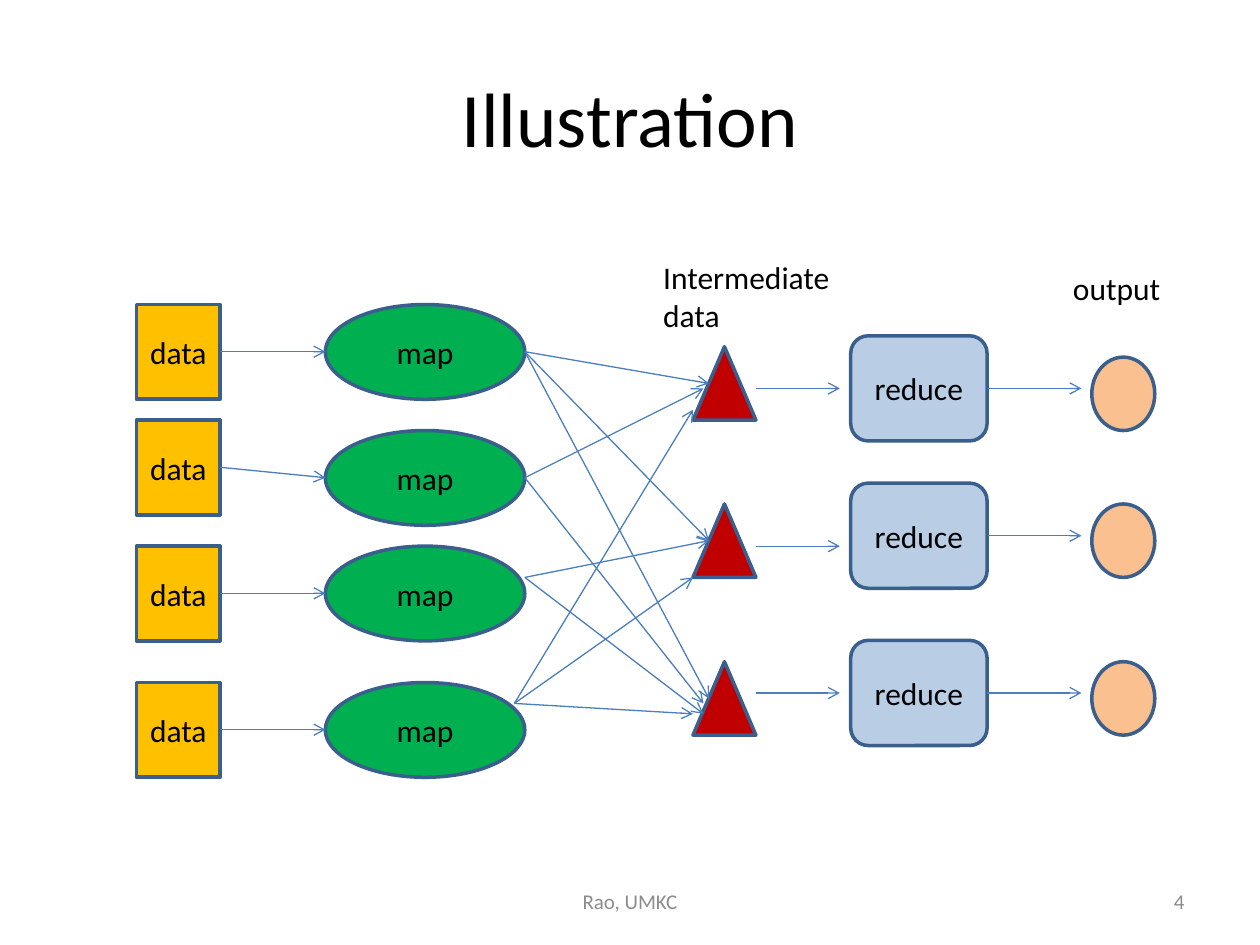
from lxml import etree
from pptx import Presentation
from pptx.dml.color import RGBColor
from pptx.enum.shapes import MSO_CONNECTOR, MSO_SHAPE as Shape
from pptx.enum.text import MSO_ANCHOR as Anchor, PP_ALIGN as Align
from pptx.oxml.ns import qn
from pptx.util import Cm, Pt

THEME = {
    "font": "Calibri", "title": 44, "body": 18, "footer": 12,
    "text": "000000", "muted": "8C8C8C", "outline": "3A5F8C", "arrow": "4B7EBC",
    "data": "FFC000", "map": "00B050", "group": "C00000",
    "reduce": "B9CDE5", "output": "FAC090",
}

deck = Presentation()
deck.slide_width, deck.slide_height = Cm(25.4), Cm(19.05)
page = deck.slides.add_slide(deck.slide_layouts[6])


def write(box, text, size=THEME["body"], color=THEME["text"],
          align=Align.CENTER, anchor=Anchor.MIDDLE, wrap=True):
    frame = box.text_frame
    frame.word_wrap = wrap
    frame.vertical_anchor = anchor
    for index, line in enumerate(text.split("\n")):
        para = frame.paragraphs[0] if index == 0 else frame.add_paragraph()
        para.alignment = align
        span = para.add_run()
        span.text = line
        span.font.name = THEME["font"]
        span.font.size = Pt(size)
        span.font.color.rgb = RGBColor.from_string(color)


def draw_arrow(start, end):
    arrow = page.shapes.add_connector(
        MSO_CONNECTOR.STRAIGHT, *[Cm(value) for value in (*start, *end)])
    arrow.line.color.rgb = RGBColor.from_string(THEME["arrow"])
    arrow.line.width = Pt(0.75)
    etree.SubElement(arrow.line._get_or_add_ln(), qn("a:tailEnd"), type="arrow")
    etree.SubElement(arrow._element.spPr, qn("a:effectLst"))


# Title, footer and column captions
muted = {"size": THEME["footer"], "color": THEME["muted"]}
caption = {"align": Align.LEFT, "anchor": Anchor.TOP, "wrap": False}
for text, area, style in [
    ("Illustration", (1.27, 0.76, 22.86, 3.18), {"size": THEME["title"]}),
    ("Rao, UMKC", (8.68, 17.66, 8.04, 1.01), muted),
    ("4", (18.2, 17.66, 5.93, 1.01), {**muted, "align": Align.RIGHT}),
    ("Intermediate\ndata", (13.12, 5.08, 3.89, 1.8), caption),
    ("output", (21.38, 5.29, 2.28, 1.03), caption),
]:
    box = page.shapes.add_textbox(*[Cm(value) for value in area])
    write(box, text, **style)

# Stages, one column each: name, shape, label, left, width, height, tops
data_tops = [6.14, 8.47, 11.01, 13.76]
map_tops = [6.14, 8.68, 11.01, 13.76]
reduce_tops = [6.77, 9.74, 12.91]
for name, kind, label, left, width, height, tops in [
    ("data", Shape.RECTANGLE, "data", 2.75, 1.69, 1.91, data_tops),
    ("map", Shape.OVAL, "map", 6.56, 4.02, 1.91, map_tops),
    ("group", Shape.ISOSCELES_TRIANGLE, "", 13.97, 1.27, 1.48, [6.99, 10.16, 13.34]),
    ("reduce", Shape.ROUNDED_RECTANGLE, "reduce", 17.15, 2.75, 2.12, reduce_tops),
    ("output", Shape.OVAL, "", 22.01, 1.27, 1.48, [7.2, 10.16, 13.34]),
]:
    for top in tops:
        node = page.shapes.add_shape(kind, Cm(left), Cm(top), Cm(width), Cm(height))
        node.shadow.inherit = False
        node.fill.solid()
        node.fill.fore_color.rgb = RGBColor.from_string(THEME[name])
        node.line.color.rgb = RGBColor.from_string(THEME["outline"])
        node.line.width = Pt(2)
        if label:
            # Narrow side margins keep the label on one line
            node.text_frame.margin_left = node.text_frame.margin_right = Cm(0.1)
            write(node, label)

# Arrows from data to map
for data_top, map_top in zip(data_tops, map_tops):
    draw_arrow((4.44, data_top + 0.95), (6.56, map_top + 0.95))

# Shuffle: every map sends to several groups
for start, ends in [
    ((10.58, 7.09), [(14.29, 7.73), (14.29, 10.9), (14.29, 14.08)]),
    ((10.58, 9.63), [(14.18, 7.83), (14.18, 14.18)]),
    ((10.58, 11.64), [(14.29, 10.9), (14.18, 14.39)]),
    ((10.37, 14.18), [(13.97, 8.26), (13.97, 11.64), (13.97, 14.39)]),
]:
    for end in ends:
        draw_arrow(start, end)

# Arrows into and out of reduce
for group_y, reduce_top in zip([7.83, 11.01, 13.97], reduce_tops):
    draw_arrow((15.24, group_y), (16.93, group_y))
    draw_arrow((19.9, reduce_top + 1.06), (21.8, reduce_top + 1.06))

deck.save("out.pptx")
